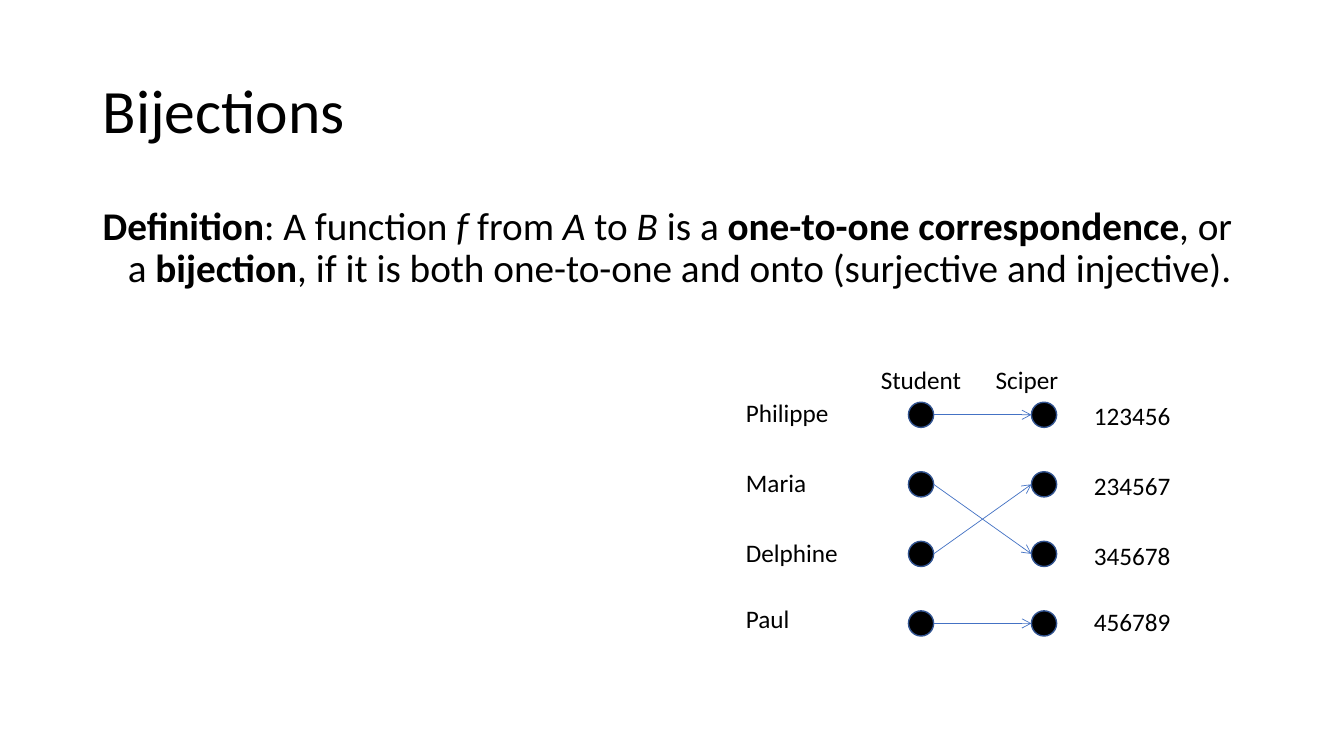
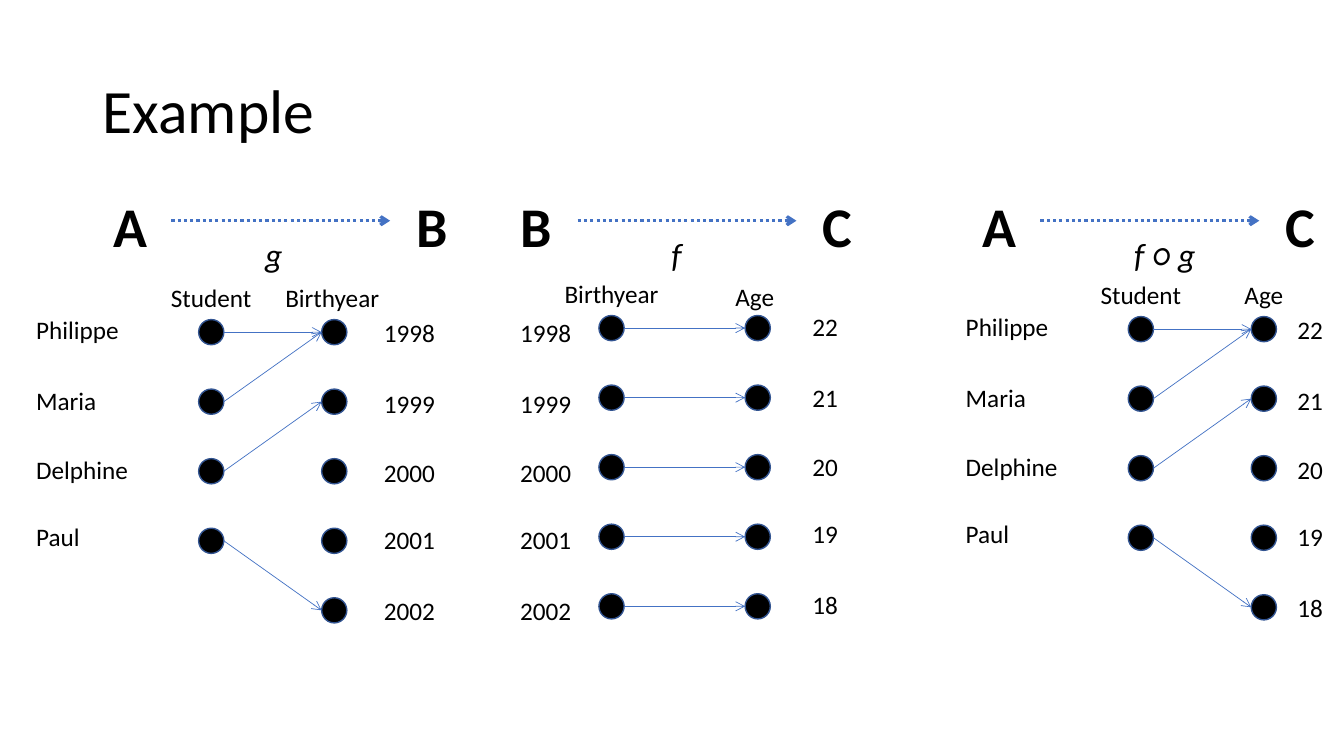
from dataclasses import dataclass

from lxml.etree import SubElement
from pptx import Presentation
from pptx.dml.color import RGBColor
from pptx.enum.dml import MSO_LINE
from pptx.enum.shapes import MSO_CONNECTOR, MSO_SHAPE
from pptx.enum.text import MSO_ANCHOR, PP_ALIGN
from pptx.oxml.ns import qn
from pptx.util import Inches, Pt


@dataclass(frozen=True)
class Theme:
    font: str = "Calibri"
    ink: str = "000000"
    rim: str = "325491"
    blue: str = "4472C4"
    title: int = 44
    set: int = 40
    body: int = 28
    func: int = 24
    label: int = 18
    thin: float = 0.5
    edge: float = 1
    thick: float = 2.25


THEME = Theme()
COLS, ROWS = 13.33, 7.5          # grid of one-inch cells
DOT = 0.25                       # dot size
PITCH = 0.69                     # step between dots
STEPS = (0, 0.7, 1.39, 2.05, 2.76)   # steps between labels
NAMES = ("Philippe", "Maria", "Delphine", "Paul")
YEARS = ("1998", "1999", "2000", "2001", "2002")
AGES = ("22", "21", "20", "19", "18")
MERGE = ((0, 0), (1, 0), (2, 1), (3, 4))


def cells(*nums):
    return [Inches(num) for num in nums]


def write(slide, box, text, size=THEME.label, bold=False, italic=False,
          align=PP_ALIGN.LEFT, anchor=MSO_ANCHOR.TOP, space=1.0, hang=0):
    """Place text, given as a string or as (text, style) runs."""
    frame = slide.shapes.add_textbox(*cells(*box)).text_frame
    frame.word_wrap = True
    frame.vertical_anchor = anchor
    para = frame.paragraphs[0]
    para.alignment = align
    para.line_spacing = space
    if hang:
        props = para._p.get_or_add_pPr()
        props.set("marL", str(Inches(hang)))
        props.set("indent", str(-Inches(hang)))
    for part, style in [(text, "")] if isinstance(text, str) else text:
        run = para.add_run()
        run.text = part
        font = run.font
        font.name, font.size = THEME.font, Pt(size)
        font.bold = bold or style == "b"
        font.italic = italic or style == "i"
        font.color.rgb = RGBColor.from_string(THEME.ink)


def arrow(slide, start, end, width=THEME.thin, dash=None):
    link = slide.shapes.add_connector(
        MSO_CONNECTOR.STRAIGHT, *cells(*start, *end))
    link.line.color.rgb = RGBColor.from_string(THEME.blue)
    link.line.width = Pt(width)
    if dash:
        link.line.dash_style = dash
    SubElement(link.line._get_or_add_ln(), qn("a:tailEnd"), type="arrow")
    SubElement(link._element.spPr, qn("a:effectLst"))


def dot(slide, x, y):
    disc = slide.shapes.add_shape(MSO_SHAPE.OVAL, *cells(x, y, DOT, DOT))
    disc.shadow.inherit = False
    disc.fill.solid()
    disc.fill.fore_color.rgb = RGBColor.from_string(THEME.ink)
    disc.line.color.rgb = RGBColor.from_string(THEME.rim)
    disc.line.width = Pt(THEME.edge)


def width(text):
    return 0.25 + 0.13 * len(text)


def column(slide, x, y, head, count, labels, side, lift, shift=0, drop=0):
    """One set: heading, dots and labels, from its first dot at x, y."""
    wide = width(head)
    mid = x + DOT / 2 + shift
    write(slide, (mid - wide / 2, y - 0.42 + drop, wide, 0.4), head,
          align=PP_ALIGN.CENTER)
    for row in range(count):
        dot(slide, x, y + row * PITCH)
    for label, step in zip(labels, STEPS):
        write(slide, (x + side, y + lift + step, width(label), 0.4), label)


def mapping(slide, x, y, left, right, links, gap=1.22):
    """Two sets and the arrows between them."""
    column(slide, x, y, **left)
    column(slide, x + gap, y, **right)
    for src, dest in links:
        ends = [y + DOT / 2 + row * PITCH for row in (src, dest)]
        arrow(slide, (x + DOT, ends[0]), (x + gap, ends[1]))


def banner(slide, x, y, src, dest, func):
    """Set letters joined by a dotted arrow, with the function below."""
    for letter, dx in ((src, 0), (dest, 3)):
        write(slide, (x + dx, y, 0.68, 0.77), letter, THEME.set, bold=True)
    arrow(slide, (x + 0.67, y + 0.34), (x + 2.84, y + 0.34),
          THEME.thick, MSO_LINE.ROUND_DOT)
    write(slide, (x + 1.5, y + 0.42, 0.91, 0.5), func, THEME.func,
          italic=True)


def start(deck, title):
    slide = deck.slides.add_slide(deck.slide_layouts[6])
    write(slide, (0.92, 0.4, 11.5, 1.45), title, THEME.title,
          anchor=MSO_ANCHOR.MIDDLE, space=0.9)
    return slide


def source(head, labels, side=-1.71, lift=-0.1):
    return dict(head=head, count=len(labels), labels=labels,
                side=side, lift=lift)


def target(head, labels, side=0.52, lift=-0.07, **move):
    return dict(source(head, labels, side, lift), **move)


def define(deck):
    slide = start(deck, "Bijections")
    write(slide, (0.92, 2, 11.5, 1.2), [
        ("Definition", "b"), (": A function ", ""), ("f", "i"),
        (" from ", ""), ("A", "i"), (" to ", ""), ("B", "i"),
        (" is a ", ""), ("one-to-one correspondence", "b"),
        (", or a ", ""), ("bijection", "b"),
        (", if it is both one-to-one and onto "
         "(surjective and injective).", ""),
    ], THEME.body, space=0.9, hang=0.25)
    codes = ("123456", "234567", "345678", "456789")
    mapping(slide, 9.01, 3.99, source("Student", NAMES),
            target("Sciper", codes, shift=-0.17),
            ((0, 0), (1, 2), (2, 1), (3, 3)))


def example(deck):
    slide = start(deck, "Example")
    # Set letters and functions
    for x, *names in ((1.03, "A", "B", "g"), (5.06, "B", "C", "f"),
                      (9.65, "A", "C", "f ○ g")):
        banner(slide, x, 1.85, *names)
    # Student to birth year, birth year to age, student to age
    mapping(slide, 1.97, 3.17, source("Student", NAMES),
            target("Birthyear", YEARS, shift=-0.02), MERGE)
    mapping(slide, 5.94, 3.13, source("Birthyear", YEARS, -0.88, -0.03),
            target("Age", AGES, 0.57, -0.09, shift=-0.03, drop=0.03),
            [(row, row) for row in range(len(AGES))], gap=1.45)
    mapping(slide, 11.19, 3.14, source("Student", NAMES),
            target("Age", AGES, 0.36), MERGE)


def main():
    deck = Presentation()
    deck.slide_width, deck.slide_height = cells(COLS, ROWS)
    define(deck)
    example(deck)
    deck.save("out.pptx")


if __name__ == "__main__":
    main()
